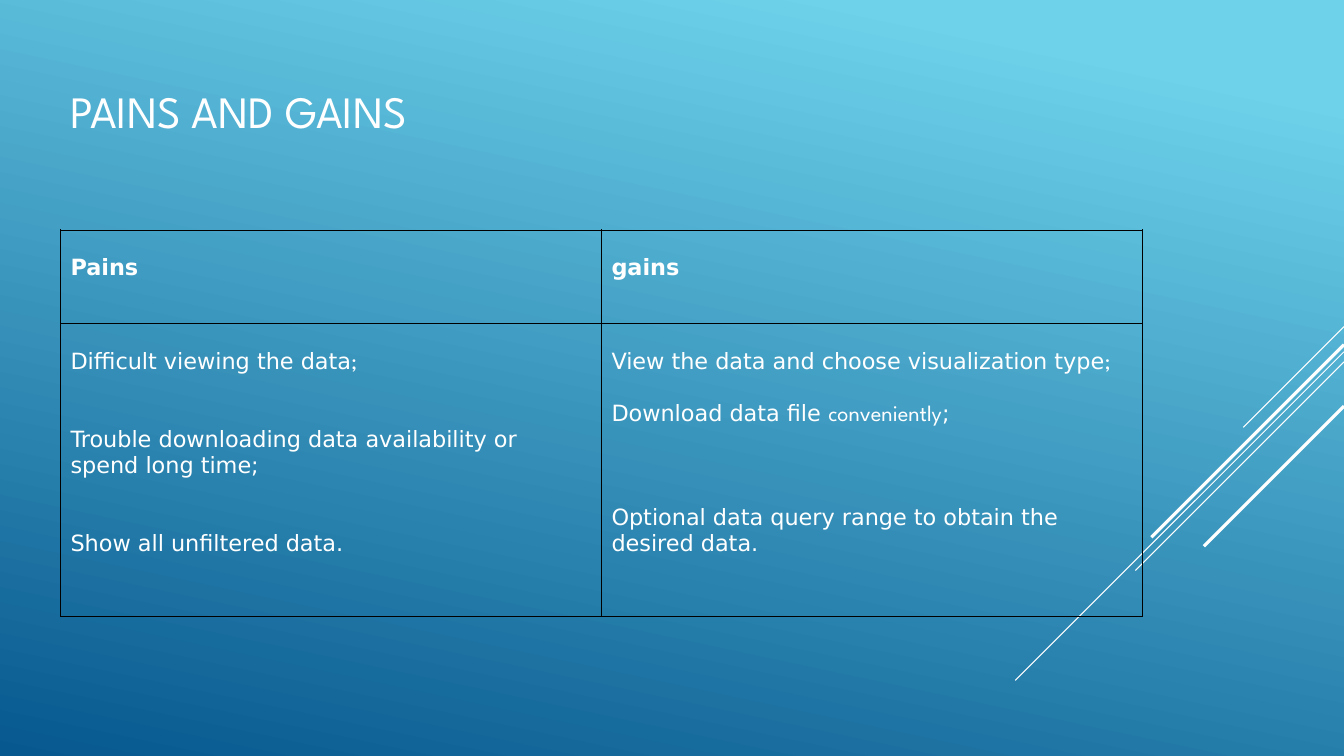
from lxml import etree
from pptx import Presentation
from pptx import util as u
from pptx.dml import color
from pptx.enum import shapes, text
from pptx.oxml import ns

WHITE = color.RGBColor(0xFF, 0xFF, 0xFF)
SKY = color.RGBColor(0x6E, 0xD2, 0xEB)
DEEP_BLUE = color.RGBColor(0x06, 0x58, 0x8E)
BLACK = color.RGBColor(0, 0, 0)
SANS = "DejaVu Sans"
SPARTAN = "League Spartan"
SLIDE_WIDTH = 13.33
LINE_STEP = 18.6

STREAKS = [
    (3.24, 1.0, 0.75),
    (3.49, 3.26, 0.75),
    (3.59, 2.07, 0.75),
    (3.42, 1.91, 2.25),
    (4.03, 1.39, 2.25),
]

HEADINGS = ["Pains", "gains"]
PAINS = [
    (0, [("Difficult viewing the data", SANS), (";", SPARTAN)]),
    (2, [("Trouble downloading data availability or spend long time;", SANS)]),
    (2, [("Show all unfiltered data.", SANS)]),
]
GAINS = [
    (0, [("View the data and choose visualization type", SANS), (";", SPARTAN)]),
    (1, [("Download data file ", SANS), ("conveniently", SPARTAN), (";", SANS)]),
    (3, [("Optional data query range to obtain the desired data.", SANS)]),
]


def apply(target, values):
    for name, value in values.items():
        setattr(target, name, value)


def add_text(paragraph, words, font, size, bold=False):
    run = paragraph.add_run()
    run.text = words
    apply(run.font, {"name": font, "size": u.Pt(size), "bold": bold})
    run.font.color.rgb = WHITE


def paint_background(slide):
    fill = slide.background.fill
    fill.gradient()
    fill.gradient_angle = 258
    for stop, position, shade in zip(fill.gradient_stops, (0.1, 1), (SKY, DEEP_BLUE)):
        stop.position = position
        stop.color.rgb = shade


def add_streak(slide, top, reach, weight):
    streak = slide.shapes.add_connector(
        shapes.MSO_CONNECTOR.STRAIGHT,
        u.Inches(SLIDE_WIDTH), u.Inches(top),
        u.Inches(SLIDE_WIDTH - reach), u.Inches(top + reach))
    streak.line.color.rgb = WHITE
    streak.line.width = u.Pt(weight)
    etree.SubElement(streak._element.spPr, ns.qn("a:effectLst"))


def write_title(slide, words):
    title = slide.shapes.title
    apply(title, {"left": u.Inches(0.6), "top": u.Inches(0.45),
                  "width": u.Inches(11.07), "height": u.Inches(1.83)})
    apply(title.text_frame, {"vertical_anchor": text.MSO_ANCHOR.MIDDLE,
                             "margin_bottom": u.Inches(0.58),
                             "word_wrap": True})
    heading = title.text_frame.paragraphs[0]
    heading.alignment = text.PP_ALIGN.LEFT
    add_text(heading, words, SPARTAN, 32)


def outline_cell(cell):
    properties = cell._tc.get_or_add_tcPr()
    for position, side in enumerate(("lnL", "lnR", "lnT", "lnB")):
        border = etree.Element(ns.qn(f"a:{side}"), w=str(u.Pt(0.5)))
        solid = etree.SubElement(border, ns.qn("a:solidFill"))
        etree.SubElement(solid, ns.qn("a:srgbClr"), val=str(BLACK))
        properties.insert(position, border)


def fill_cell(cell, entries, bold=False):
    cell.fill.background()
    outline_cell(cell)
    cell.margin_top = u.Inches(0.25)
    for index, (gap, pieces) in enumerate(entries):
        frame = cell.text_frame
        paragraph = frame.add_paragraph() if index else frame.paragraphs[0]
        paragraph.space_before = u.Pt(gap * LINE_STEP)
        for words, font in pieces:
            add_text(paragraph, words, font, 16, bold)


def add_comparison(slide):
    comparison = slide.shapes.add_table(
        2, 2, u.Inches(0.6), u.Inches(2.28), u.Inches(10.73), u.Inches(3.83)).table
    apply(comparison, {"first_row": False, "horz_banding": False})
    for row, height in zip(comparison.rows, (0.93, 2.9)):
        row.height = u.Inches(height)
    for column, (heading, entries) in enumerate(zip(HEADINGS, (PAINS, GAINS))):
        fill_cell(comparison.cell(0, column), [(0, [(heading, SANS)])], bold=True)
        fill_cell(comparison.cell(1, column), entries)


def main():
    deck = Presentation()
    apply(deck, {"slide_width": u.Inches(SLIDE_WIDTH), "slide_height": u.Inches(7.5)})
    slide = deck.slides.add_slide(deck.slide_layouts[5])
    paint_background(slide)
    for streak in STREAKS:
        add_streak(slide, *streak)
    write_title(slide, "PAINS AND GAINS")
    add_comparison(slide)
    deck.save("out.pptx")


if __name__ == "__main__":
    main()
